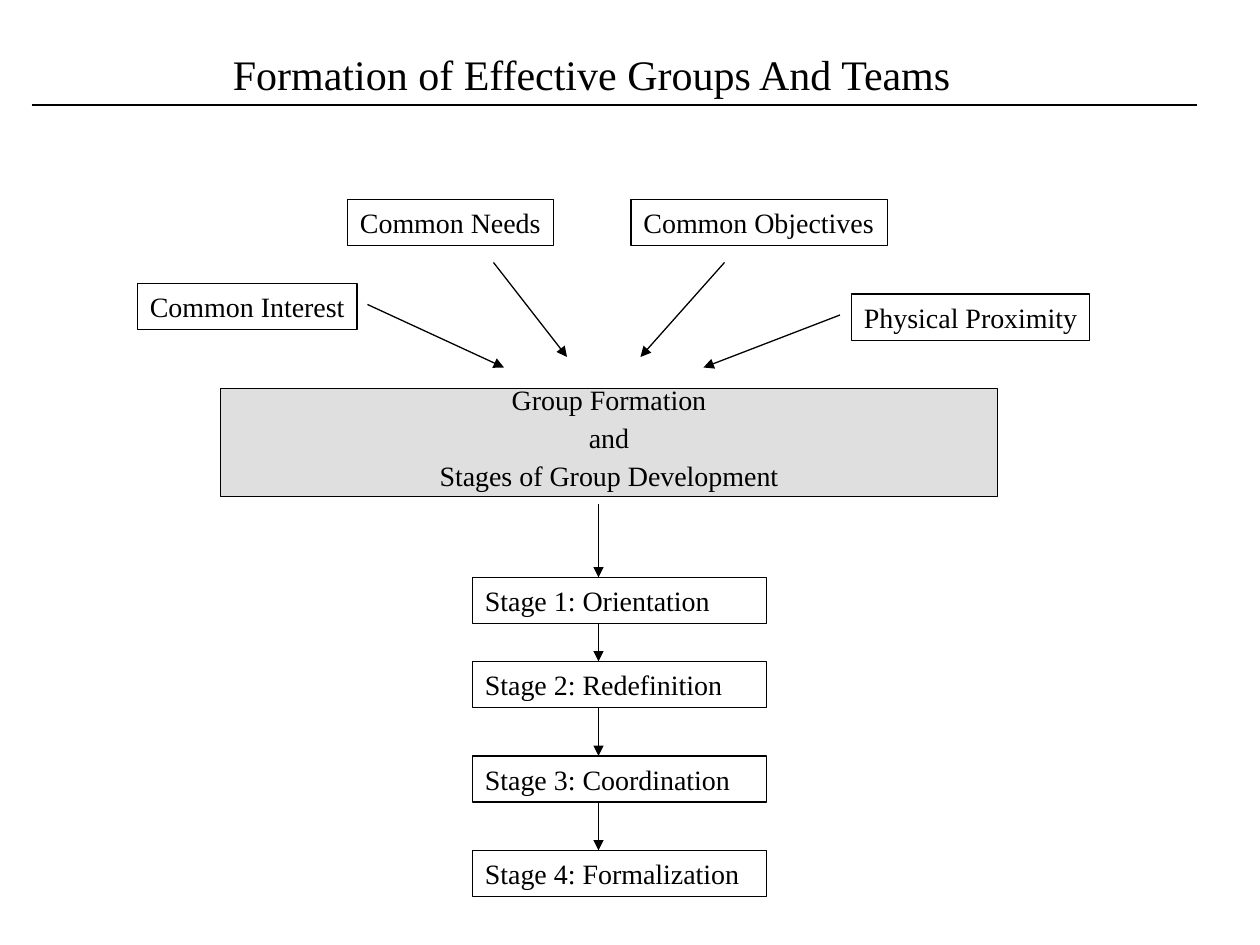
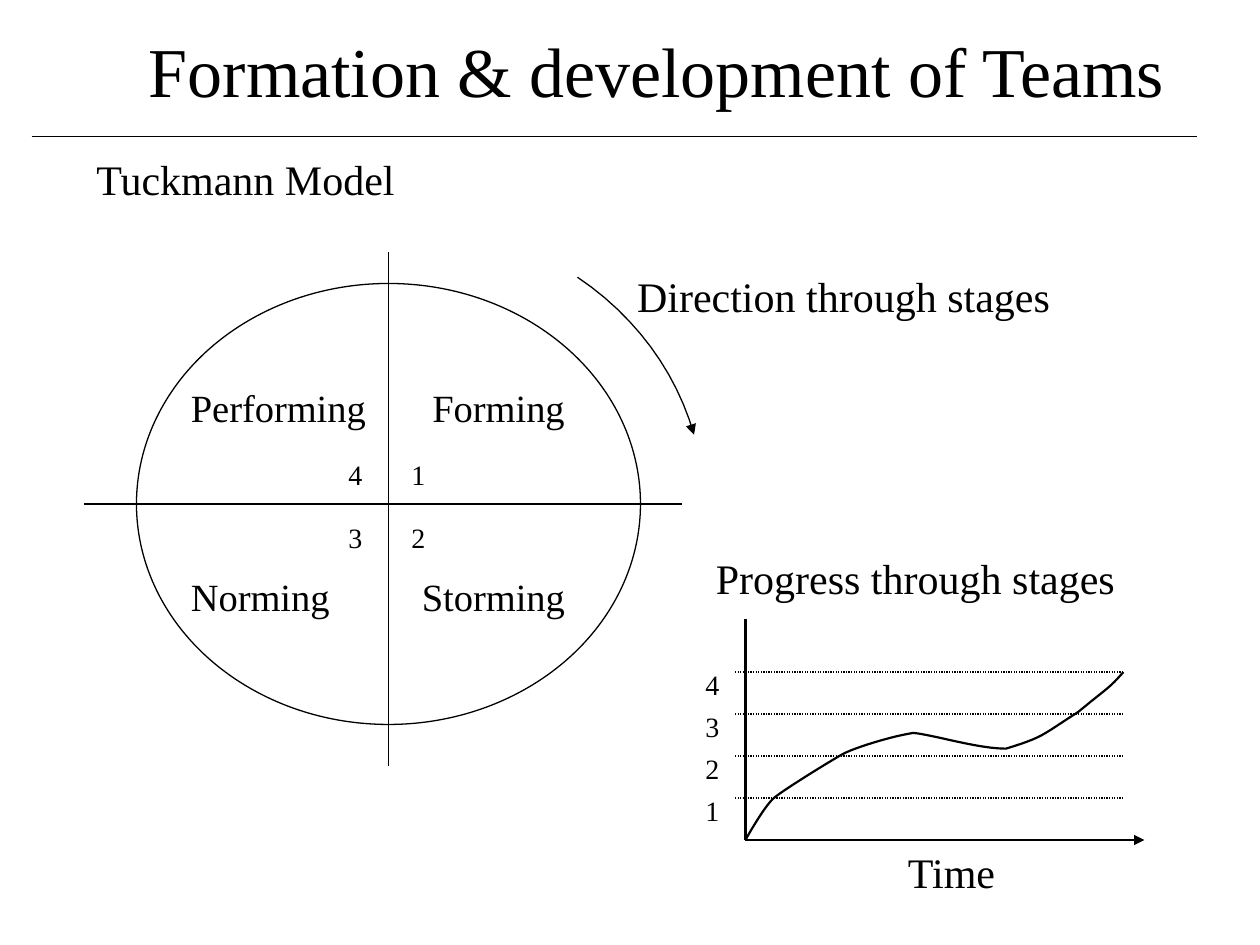
from dataclasses import dataclass

from lxml.etree import SubElement
from pptx import Presentation
from pptx.dml.color import RGBColor
from pptx.enum.dml import MSO_LINE
from pptx.enum.shapes import MSO_CONNECTOR, MSO_SHAPE
from pptx.enum.text import MSO_ANCHOR, PP_ALIGN
from pptx.oxml.ns import qn
from pptx.util import Inches, Pt


@dataclass(frozen=True)
class Theme:
    font: str = "Times New Roman"
    ink: RGBColor = RGBColor(0, 0, 0)
    paper: RGBColor = RGBColor(255, 255, 255)
    panel: RGBColor = RGBColor(0xC0, 0xC0, 0xC0)
    small: int = 16
    label: int = 22
    heading: int = 24
    display: int = 40
    thin: float = 0.75
    thick: float = 1.25


THEME = Theme()
COLUMNS, ROWS = 120, 90  # twelve cells to the inch
CELL = Inches(10) / COLUMNS
BOX_ROWS = 4.4
HEADING_ROWS = 6


def cells(*counts):
    return [round(count * CELL) for count in counts]


def set_all(target, values):
    for name, value in values.items():
        setattr(target, name, value)


def stroke(shape, width, arrow=False):
    shape.line.color.rgb = THEME.ink
    shape.line.width = Pt(width)
    if arrow:
        SubElement(shape.line._get_or_add_ln(), qn("a:tailEnd"), type="triangle")


def write(shape, lines, size, wrap=True, paragraph_format=None, gap=0):
    frame = shape.text_frame
    set_all(frame, {"word_wrap": wrap, "vertical_anchor": MSO_ANCHOR.TOP})
    for index, line in enumerate(lines):
        paragraph = frame.add_paragraph() if index else frame.paragraphs[0]
        paragraph.text = line
        set_all(paragraph, {"alignment": PP_ALIGN.LEFT, **(paragraph_format or {})})
        if index:
            paragraph.space_before = Pt(gap)
        set_all(paragraph.font, {"name": THEME.font, "size": Pt(size)})
        paragraph.font.color.rgb = THEME.ink


@dataclass
class Region:
    """Part of a slide whose places are counted in cells from its own corner."""
    slide: object
    left: float = 0
    top: float = 0

    def place(self, column, row):
        return cells(self.left + column, self.top + row)

    def outline(self, kind, column, row, width, height, fill=None):
        shape = self.slide.shapes.add_shape(
            kind, *self.place(column, row), *cells(width, height))
        shape.shadow.inherit = False
        stroke(shape, THEME.thin)
        if fill is None:
            shape.fill.background()
        else:
            shape.fill.solid()
            shape.fill.fore_color.rgb = fill
        return shape

    def box(self, text, column, row, width, wrap=True):
        shape = self.outline(MSO_SHAPE.RECTANGLE, column, row, width, BOX_ROWS, THEME.paper)
        write(shape, [text], THEME.small, wrap)

    def text(self, text, column, row, width, height, size, wrap=True):
        shape = self.slide.shapes.add_textbox(
            *self.place(column, row), *cells(width, height))
        write(shape, [text], size, wrap)

    def line(self, start, end, width=THEME.thin, arrow=False):
        connector = self.slide.shapes.add_connector(
            MSO_CONNECTOR.STRAIGHT, *self.place(*start), *self.place(*end))
        stroke(connector, width, arrow)
        SubElement(connector._element.spPr, qn("a:effectLst"))
        return connector

    def curve(self, start, bends, width, arrow=False, steps=12):
        """Draw cubic bends, each given as two handles and an end point."""
        points, here = [], start
        for first, second, end in bends:
            for step in range(1, steps + 1):
                t = step / steps
                points.append(self.place(*(
                    (1 - t) ** 3 * a + 3 * t * (1 - t) ** 2 * b
                    + 3 * t ** 2 * (1 - t) * c + t ** 3 * d
                    for a, b, c, d in zip(here, first, second, end))))
            here = end
        builder = self.slide.shapes.build_freeform(*self.place(*start))
        builder.add_line_segments(points, close=False)
        shape = builder.convert_to_shape()
        shape.shadow.inherit = False
        shape.fill.background()
        stroke(shape, width, arrow)


def add_title(slide, text, column, row, width, height, size, rule_row):
    region = Region(slide)
    region.line((3, rule_row), (114, rule_row))
    region.text(text, column, row, width, height, size)


def add_causes(region):
    causes = [
        ("Common Needs", 20.1, 0, 19.6, (34, 6), (41, 15)),
        ("Common Objectives", 47.1, 0, 24.4, (56, 6), (48, 15)),
        ("Physical Proximity", 68.1, 9, 22.7, (67, 11), (54, 16)),
        ("Common Interest", 0.1, 8, 20.9, (22, 10), (35, 16)),
    ]
    for text, column, row, width, start, end in causes:
        region.box(text, column, row, width, wrap=False)
        region.line(start, end, arrow=True)


def add_group_panel(region):
    panel = region.outline(MSO_SHAPE.RECTANGLE, 0, 0, 74, 10.3, THEME.panel)
    colour = panel._element.spPr.find(f".//{qn('a:solidFill')}/{qn('a:srgbClr')}")
    SubElement(colour, qn("a:alpha"), val="50000")
    write(panel, ["Group Formation", "and", "Stages of Group Development"], THEME.small,
          paragraph_format={"alignment": PP_ALIGN.CENTER, "line_spacing": 0.6}, gap=10)


def add_stages(region):
    names = ["Orientation", "Redefinition", "Coordination", "Formalization"]
    arrow_start = 0
    for number, (name, row) in enumerate(zip(names, (7, 15, 24, 33)), 1):
        region.line((12, arrow_start), (12, row), arrow=True)
        region.box(f"Stage {number}: {name}", 0, row, 28)
        arrow_start = row + BOX_ROWS


def add_stage_wheel(region):
    region.outline(MSO_SHAPE.OVAL, 0, 0, 48, 42)
    region.line((24, -3), (24, 46))
    region.line((-5, 21), (52, 21))
    quarters = [
        ("Forming", 27, 9, 18, 25, 16, True),
        ("Storming", 26, 27, 16, 25, 22, False),
        ("Norming", 4, 27, 15.6, 19, 22, False),
        ("Performing", 4, 9, 19.1, 19, 16, False),
    ]
    for number, quarter in enumerate(quarters, 1):
        name, column, row, width, number_column, number_row, wrap = quarter
        region.text(name, column, row, width, 5.6, THEME.label, wrap)
        region.text(str(number), number_column, number_row, 3.7, BOX_ROWS,
                    THEME.small, wrap=False)
    region.curve((42, -0.6), [((47.5, 3.1), (51.4, 8.4), (53.1, 14.4))],
                 THEME.thin, arrow=True)
    region.text("Direction through stages", 46.5, -1.8, 44, HEADING_ROWS, THEME.heading)


def add_progress_graph(region):
    """Draw the graph with the region's corner at the meeting of its axes."""
    region.line((0, -21), (0, 0), THEME.thick)
    region.line((0, 0), (38, 0), THEME.thick, arrow=True)
    region.curve((0, 0), [
        ((0.4, -0.7), (1.7, -3), (2.6, -3.9)),
        ((3.3, -4.6), (8.7, -7.9), (9.3, -8.2)),
        ((10.4, -8.8), (14, -9.9), (16, -10.2)),
        ((18, -10), (22.1, -8.7), (24.8, -8.7)),
        ((28.4, -9.8), (28.1, -9.9), (31.7, -12.2)),
        ((34.6, -14.6), (34.6, -14.4), (36, -16)),
    ], THEME.thick)
    for level in range(1, 5):
        row = -4 * level
        region.line((-1, row), (36, row)).line.dash_style = MSO_LINE.ROUND_DOT
        region.text(str(level), -5, row - 1, 3.7, BOX_ROWS, THEME.small, wrap=False)
    region.text("Time", 14.3, 0, 10.8, HEADING_ROWS, THEME.heading, wrap=False)
    region.text("Progress through stages", -4, -28, 45, HEADING_ROWS, THEME.heading)


def build_formation_slide(slide):
    add_causes(Region(slide, 13, 19))
    add_group_panel(Region(slide, 21, 37))
    add_stages(Region(slide, 45, 48))
    add_title(slide, "Formation of Effective Groups And Teams",
              21, 4, 71.4, HEADING_ROWS, THEME.heading, rule_row=10)


def build_model_slide(slide):
    Region(slide).text("Tuckmann Model", 8, 14, 58, HEADING_ROWS, THEME.heading)
    add_stage_wheel(Region(slide, 13, 27))
    add_progress_graph(Region(slide, 71, 80))
    add_title(slide, "Formation & development of Teams",
              13, 2, 100.2, 9.2, THEME.display, rule_row=13)


def main():
    presentation = Presentation()
    width, height = cells(COLUMNS, ROWS)
    set_all(presentation, {"slide_width": width, "slide_height": height})
    for build in (build_formation_slide, build_model_slide):
        build(presentation.slides.add_slide(presentation.slide_layouts[6]))
    presentation.save("out.pptx")


if __name__ == "__main__":
    main()
